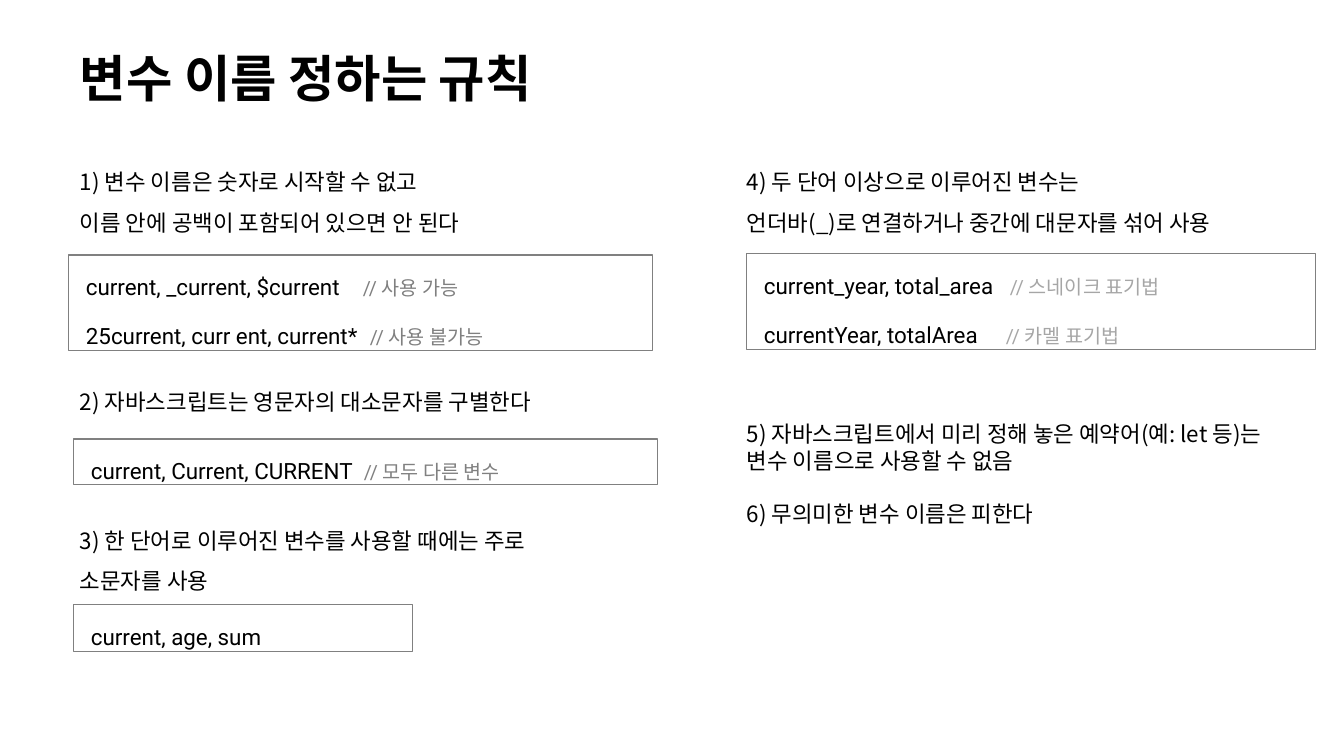
from lxml import etree
from pptx import Presentation
from pptx.dml.color import RGBColor
from pptx.enum.shapes import MSO_SHAPE
from pptx.enum.text import MSO_ANCHOR
from pptx.oxml.ns import qn
from pptx.util import Pt

RECTANGLE = MSO_SHAPE.RECTANGLE
MIDDLE = MSO_ANCHOR.MIDDLE
KOREAN, LATIN = "Noto Sans CJK KR", "Roboto"
BLACK, GREY, LIGHT_GREY = "000000", "808080", "A6A6A6"
EMU_PER_PX = 914400 / 100.8

# Content: positions are (left, top, width, height) in px
TITLE = ("변수 이름 정하는 규칙", (70, 35, 982, 93))

# Rules: position, line spacing, space between paragraphs in points, paragraphs
RULES = [
    ((70, 150, 595, 87), 1.5, 0,
     ["1) 변수 이름은 숫자로 시작할 수 없고\v이름 안에 공백이 포함되어 있으면 안 된다"]),
    ((70, 383, 672, 37), 1.0, 0, ["2) 자바스크립트는 영문자의 대소문자를 구별한다"]),
    ((70, 509, 597, 87), 1.5, 0,
     ["3) 한 단어로 이루어진 변수를 사용할 때에는 주로\v소문자를 사용"]),
    ((737, 150, 579, 87), 1.5, 0,
     ["4) 두 단어 이상으로 이루어진 변수는",
      "언더바(_)로 연결하거나 중간에 대문자를 섞어 사용"]),
    ((737, 415, 579, 119), 1.0, 19,
     ["5) 자바스크립트에서 미리 정해 놓은 예약어(예: let 등)는 변수 이름으로 사용할 수 없음",
      "6) 무의미한 변수 이름은 피한다"]),
]

# Examples: position, comment colour, lines of (code, comment, comment offset)
EXAMPLES = [
    ((69, 255, 584, 96), GREY,
     [("current, _current, $current", "// 사용 가능", 277),
      ("25current, curr ent, current*", "// 사용 불가능", 284)]),
    ((74, 439, 584, 46), GREY,
     [("current, Current, CURRENT", "// 모두 다른 변수", 273)]),
    ((74, 605, 339, 47), GREY, [("current, age, sum", "", 0)]),
    ((747, 254, 569, 96), LIGHT_GREY,
     [("current_year, total_area", "// 스네이크 표기법", 246),
      ("currentYear, totalArea", "// 카멜 표기법", 242)]),
]


def px(length):
    return round(length * EMU_PER_PX)


def color(value):
    return RGBColor.from_string(value)


def set_font(font, name, size, bold=False):
    font.name, font.size, font.bold = name, Pt(size), bold
    font.color.rgb = color(BLACK)
    latin = font._element.find(qn("a:latin"))
    east_asian = etree.Element(qn("a:ea"), typeface=KOREAN)
    latin.addnext(east_asian)


def set_tab(para, offset):
    tabs = etree.SubElement(para._p.get_or_add_pPr(), qn("a:tabLst"))
    etree.SubElement(tabs, qn("a:tab"), pos=str(px(offset)), algn="l")


def paragraphs(frame, count):
    return [frame.paragraphs[0]] + [frame.add_paragraph() for _ in range(count - 1)]


def add_text(page, place, texts, size, spacing, gap=0, bold=False):
    box = page.shapes.add_textbox(*map(px, place))
    frame = box.text_frame
    frame.word_wrap = True
    for index, para in enumerate(paragraphs(frame, len(texts))):
        para.text = texts[index]
        para.line_spacing = spacing
        if index:
            para.space_before = Pt(gap)
        set_font(para.font, KOREAN, size, bold)
    return frame


def add_example(page, place, comment_color, lines):
    box = page.shapes.add_shape(RECTANGLE, *map(px, place))
    box.shadow.inherit = False
    box.fill.background()
    box.line.color.rgb = color(GREY)
    box.line.width = Pt(0.75)
    frame = box.text_frame
    frame.word_wrap = True
    frame.vertical_anchor = MSO_ANCHOR.TOP
    frame.margin_left = px(17)
    for index, para in enumerate(paragraphs(frame, len(lines))):
        code, comment, offset = lines[index]
        para.alignment = 1  # left
        para.line_spacing = 1.5
        para.space_after = Pt(3)
        if index:
            para.space_before = Pt(3)
        if comment:
            set_tab(para, offset)
        set_font(para.font, LATIN, 16)
        para.add_run().text = code
        if comment:
            span = para.add_run()
            span.text = "\t" + comment
            span.font.size = Pt(14)
            span.font.color.rgb = color(comment_color)
        # The shape style's white text is overridden on each span
        for span in para.runs[:1]:
            span.font.color.rgb = color(BLACK)


def main():
    deck = Presentation()
    deck.slide_width, deck.slide_height = px(1344), px(756)
    page = deck.slides.add_slide(deck.slide_layouts[6])

    # Title
    title, place = TITLE
    add_text(page, place, [title], 36, 0.9, bold=True).vertical_anchor = MIDDLE

    # Rules and their code examples
    for place, spacing, gap, texts in RULES:
        add_text(page, place, texts, 16, spacing, gap)
    for example in EXAMPLES:
        add_example(page, *example)

    deck.save("out.pptx")


if __name__ == "__main__":
    main()
